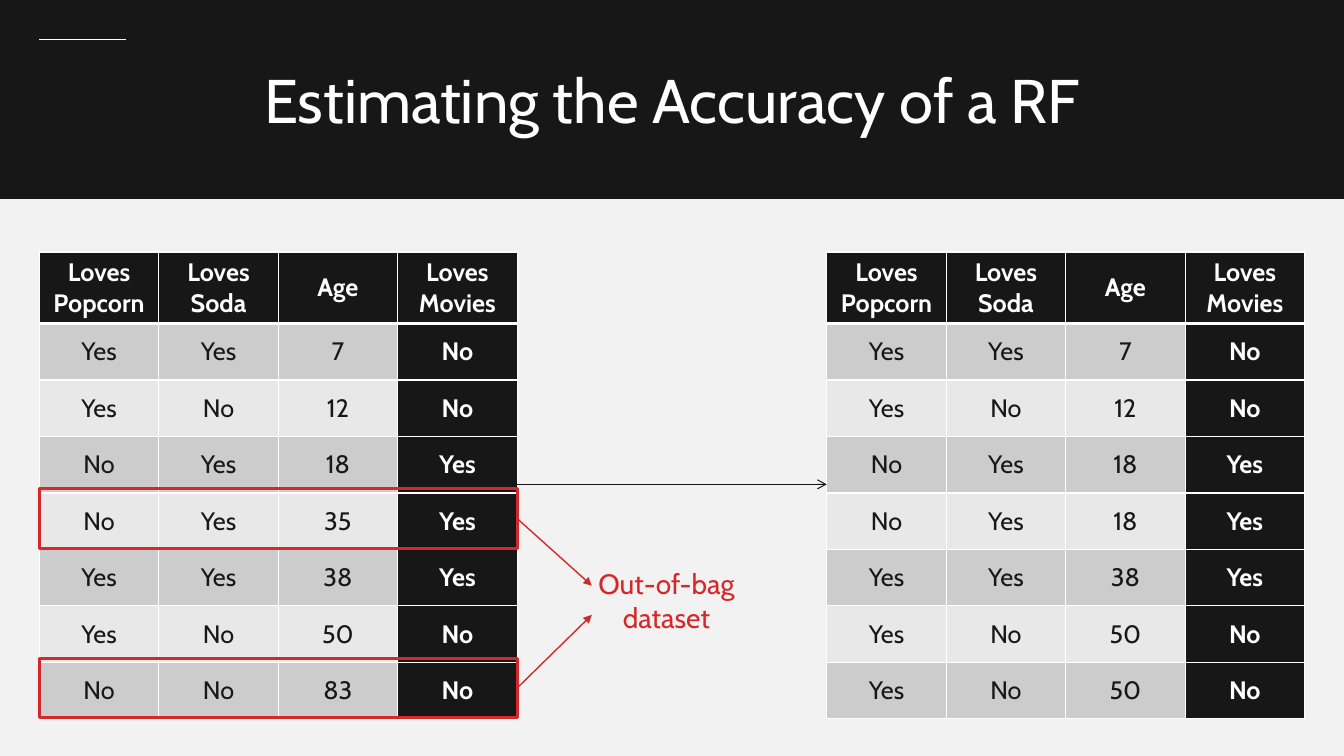
from dataclasses import dataclass

from lxml.etree import SubElement
from pptx import Presentation
from pptx.dml.color import RGBColor
from pptx.enum.shapes import MSO_CONNECTOR, MSO_SHAPE
from pptx.enum.text import MSO_ANCHOR, MSO_AUTO_SIZE, PP_ALIGN
from pptx.oxml.ns import qn
from pptx.shapes.autoshape import Shape
from pptx.shapes.connector import Connector
from pptx.slide import Slide
from pptx.table import _Cell as Cell
from pptx.text.text import _Paragraph as Paragraph
from pptx.util import Inches, Pt

INK = RGBColor(0x18, 0x17, 0x17)
WHITE = RGBColor(0xFF, 0xFF, 0xFF)
PAPER = RGBColor(0xF2, 0xF2, 0xF2)
DARK_BAND = RGBColor(0xCC, 0xCC, 0xCC)
LIGHT_BAND = RGBColor(0xE8, 0xE8, 0xE8)
RED = RGBColor(0xD6, 0x28, 0x28)

FONT = "Cabin"
LEFT, RIGHT_TABLE, TABLE_TOP = 0.39, 8.2, 2.5
TABLE_WIDTH, TABLE_HEIGHT = 4.74, 4.61
HEADER_HEIGHT, ROW_HEIGHT = 0.69, 0.56
HEADERS = ("Loves Popcorn", "Loves Soda", "Age", "Loves Movies")


@dataclass(frozen=True)
class Person:
    popcorn: str
    soda: str
    age: int
    movies: str

    def cells(self) -> tuple[str, ...]:
        return self.popcorn, self.soda, str(self.age), self.movies


@dataclass(frozen=True)
class Label:
    text: str
    left: float
    top: float
    width: float
    height: float
    size: float
    color: RGBColor


@dataclass(frozen=True)
class Line:
    start: tuple[float, float]
    end: tuple[float, float]
    color: RGBColor
    weight: float
    arrowhead: str = ""


@dataclass(frozen=True)
class OutOfBagRow:
    top: float
    arrow_end: float


PEOPLE = (
    Person("Yes", "Yes", 7, "No"),
    Person("Yes", "No", 12, "No"),
    Person("No", "Yes", 18, "Yes"),
    Person("No", "Yes", 35, "Yes"),
    Person("Yes", "Yes", 38, "Yes"),
    Person("Yes", "No", 50, "No"),
    Person("No", "No", 83, "No"),
)
BOOTSTRAP_PICKS = (0, 1, 2, 2, 4, 5, 5)
OUT_OF_BAG_ROWS = (OutOfBagRow(4.85, 5.81), OutOfBagRow(6.53, 6.1))
OUTLINE_HEIGHT = 0.59

TITLE = Label("Estimating the Accuracy of a RF", 0.71, 0.57, 11.92, 0.84, 44, WHITE)
OUT_OF_BAG = Label("Out-of-bag dataset", 5.82, 5.57, 1.58, 0.77, 20, RED)


def style_paragraph(para: Paragraph, size: float, color: RGBColor, bold: bool = False) -> None:
    para.alignment = PP_ALIGN.CENTER
    for span in para.runs:
        span.font.name = FONT
        span.font.size = Pt(size)
        span.font.bold = bold
        span.font.color.rgb = color


def set_borders(cell: Cell, top: float, bottom: float) -> None:
    properties = cell._tc.get_or_add_tcPr()
    for side, weight in (("L", 1), ("R", 1), ("T", top), ("B", bottom)):
        border = SubElement(properties, qn(f"a:ln{side}"), w=str(Pt(weight)))
        fill = SubElement(border, qn("a:solidFill"))
        SubElement(fill, qn("a:srgbClr"), val=str(WHITE))


def add_people_table(page: Slide, left: float, people: list[Person]) -> None:
    rows = [HEADERS, *(person.cells() for person in people)]
    frame = page.shapes.add_table(
        len(rows), len(HEADERS), Inches(left), Inches(TABLE_TOP),
        Inches(TABLE_WIDTH), Inches(TABLE_HEIGHT),
    )
    table = frame.table
    table.horz_banding = False
    for row_index, values in enumerate(rows):
        is_header = row_index == 0
        table.rows[row_index].height = Inches(HEADER_HEIGHT if is_header else ROW_HEIGHT)
        band = DARK_BAND if row_index % 2 else LIGHT_BAND
        for column, value in enumerate(values):
            is_dark = is_header or column == len(HEADERS) - 1
            cell = table.cell(row_index, column)
            set_borders(cell, 3 if row_index == 1 else 1, 3 if is_header else 1)
            cell.fill.solid()
            cell.fill.fore_color.rgb = INK if is_dark else band
            cell.vertical_anchor = MSO_ANCHOR.MIDDLE
            cell.text_frame.text = value
            style_paragraph(cell.text_frame.paragraphs[0], 18, WHITE if is_dark else INK, is_dark)


def add_line(page: Slide, line: Line) -> Connector:
    connector = page.shapes.add_connector(
        MSO_CONNECTOR.STRAIGHT, *(Inches(value) for value in (*line.start, *line.end))
    )
    connector.line.color.rgb = line.color
    connector.line.width = Pt(line.weight)
    if line.arrowhead:
        SubElement(connector.line._get_or_add_ln(), qn("a:tailEnd"), type=line.arrowhead)
    SubElement(connector._element.spPr, qn("a:effectLst"))
    return connector


def add_rectangle(page: Slide, left: float, top: float, width: float, height: float,
                  line_color: RGBColor, weight: float) -> Shape:
    shape = page.shapes.add_shape(
        MSO_SHAPE.RECTANGLE, Inches(left), Inches(top), Inches(width), Inches(height)
    )
    shape.shadow.inherit = False
    shape.fill.background()
    shape.line.color.rgb = line_color
    shape.line.width = Pt(weight)
    return shape


def add_label(page: Slide, label: Label) -> None:
    box = page.shapes.add_textbox(
        Inches(label.left), Inches(label.top), Inches(label.width), Inches(label.height)
    )
    frame = box.text_frame
    frame.word_wrap = True
    frame.auto_size = MSO_AUTO_SIZE.SHAPE_TO_FIT_TEXT
    frame.text = label.text
    style_paragraph(frame.paragraphs[0], label.size, label.color)


def main() -> None:
    deck = Presentation()
    deck.slide_width, deck.slide_height = Inches(13.33), Inches(7.5)
    page = deck.slides.add_slide(deck.slide_layouts[6])
    page.background.fill.solid()
    page.background.fill.fore_color.rgb = PAPER

    add_people_table(page, LEFT, list(PEOPLE))
    add_people_table(page, RIGHT_TABLE, [PEOPLE[pick] for pick in BOOTSTRAP_PICKS])
    table_right = LEFT + TABLE_WIDTH
    table_middle = TABLE_TOP + TABLE_HEIGHT / 2
    add_line(page, Line((table_right, table_middle), (RIGHT_TABLE, table_middle), INK, 0.75, "arrow"))

    title_band = add_rectangle(page, 0, 0, 13.33, 1.97, INK, 1)
    title_band.fill.solid()
    title_band.fill.fore_color.rgb = INK
    add_label(page, TITLE)
    add_line(page, Line((LEFT, 0.39), (1.25, 0.39), WHITE, 0.5))

    outlines = [
        add_rectangle(page, LEFT, row.top, TABLE_WIDTH, OUTLINE_HEIGHT, RED, 2.25)
        for row in OUT_OF_BAG_ROWS
    ]
    add_label(page, OUT_OF_BAG)
    for row, outline in zip(OUT_OF_BAG_ROWS, outlines):
        start = (table_right, row.top + OUTLINE_HEIGHT / 2)
        arrow = add_line(page, Line(start, (5.87, row.arrow_end), RED, 1, "triangle"))
        arrow.begin_connect(outline, 3)

    deck.save("out.pptx")


if __name__ == "__main__":
    main()
